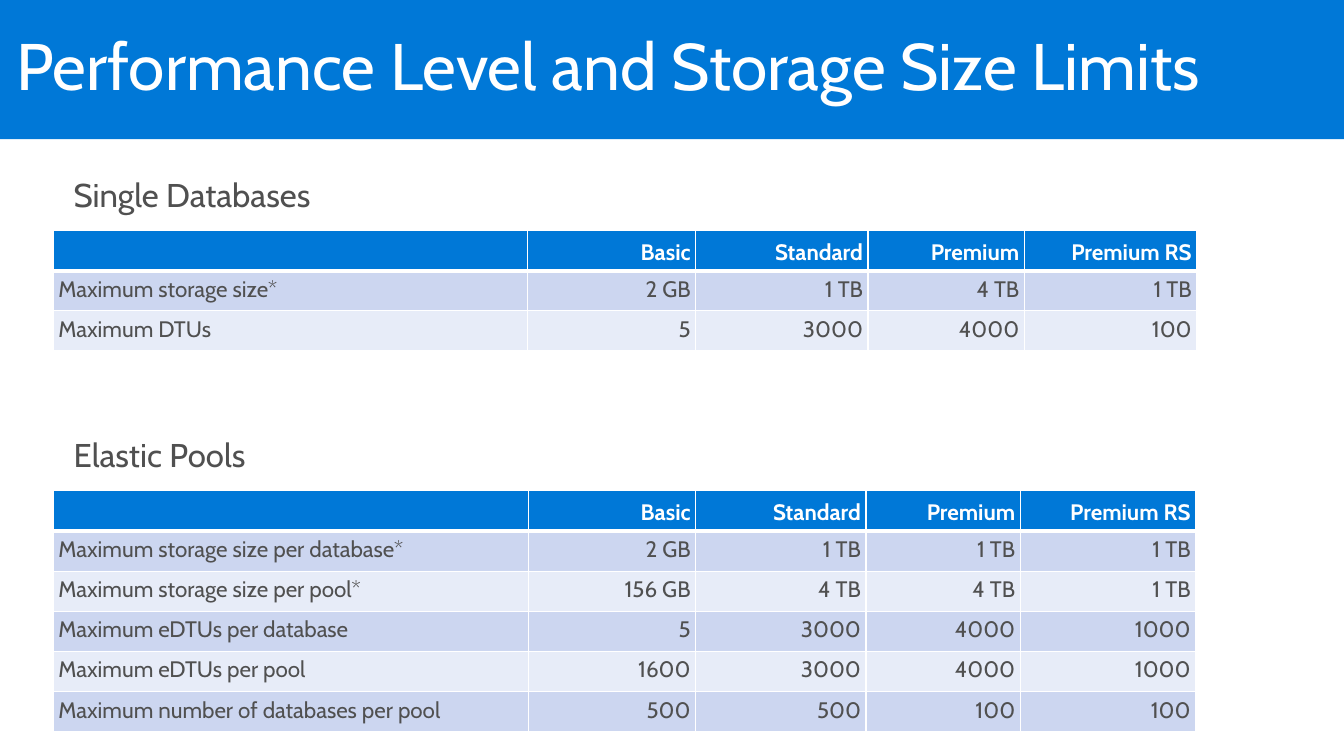
import pptx
import pptx.util
import pptx.dml.color
import pptx.enum.shapes
import pptx.enum.text
import pptx.oxml.ns
import lxml.etree

Inches = pptx.util.Inches
Pt = pptx.util.Pt
Color = pptx.dml.color.RGBColor
Align = pptx.enum.text.PP_ALIGN
Anchor = pptx.enum.text.MSO_ANCHOR
qn = pptx.oxml.ns.qn

BLUE = Color(0x00, 0x78, 0xD7)
WHITE = Color(0xFF, 0xFF, 0xFF)
GRAY = Color(0x50, 0x50, 0x50)
BANDS = (Color(0xE7, 0xEC, 0xF8), Color(0xCC, 0xD6, 0xF0))
FONT = "Cabin"

HEADS = ("", "Basic", "Standard", "Premium", "Premium RS")
SINGLE = (
    HEADS,
    ("Maximum storage size*", "2 GB", "1 TB", "4 TB", "1 TB"),
    ("Maximum DTUs", "5", "3000", "4000", "100"),
)
POOLS = (
    HEADS,
    ("Maximum storage size per database*", "2 GB", "1 TB", "1 TB", "1 TB"),
    ("Maximum storage size per pool*", "156 GB", "4 TB", "4 TB", "1 TB"),
    ("Maximum eDTUs per database", "5", "3000", "4000", "1000"),
    ("Maximum eDTUs per pool", "1600", "3000", "4000", "1000"),
    ("Maximum number of databases per pool", "500", "500", "100", "100"),
)


def style(para, size, color, bold=False):
    for run in para.runs:
        run.font.name = FONT
        run.font.size = Pt(size)
        run.font.bold = bold
        run.font.color.rgb = color


def inset(frame, side, edge):
    frame.margin_left = frame.margin_right = Inches(side)
    frame.margin_top = frame.margin_bottom = Inches(edge)


def add_title(slide, left, top, width, height, text):
    bar = slide.shapes.add_shape(
        pptx.enum.shapes.MSO_SHAPE.RECTANGLE,
        Inches(left), Inches(top), Inches(width), Inches(height))
    bar.shadow.inherit = False
    bar.fill.solid()
    bar.fill.fore_color.rgb = BLUE
    bar.line.fill.background()
    frame = bar.text_frame
    frame.word_wrap = True
    frame.vertical_anchor = Anchor.MIDDLE
    inset(frame, 0.16, 0.1)
    frame.text = text
    para = frame.paragraphs[0]
    para.alignment = Align.LEFT
    para.line_spacing = 0.9
    style(para, 47, WHITE)


def add_label(slide, left, top, width, height, text):
    box = slide.shapes.add_textbox(
        Inches(left), Inches(top), Inches(width), Inches(height))
    frame = box.text_frame
    frame.word_wrap = True
    inset(frame, 0.2, 0.16)
    frame.text = text
    para = frame.paragraphs[0]
    para.line_spacing = 0.9
    para.space_after = Pt(5.9)
    style(para, 23.5, GRAY)


def add_edges(cell, row):
    props = cell._tc.get_or_add_tcPr()
    for side in "LRTB":
        thick = (row, side) in ((0, "B"), (1, "T"))
        line = lxml.etree.SubElement(
            props, qn("a:ln" + side), w=str(Pt(3 if thick else 1)))
        fill = lxml.etree.SubElement(line, qn("a:solidFill"))
        lxml.etree.SubElement(fill, qn("a:srgbClr"), val=str(WHITE))


def fill_cell(cell, row, col, text):
    head = row == 0
    add_edges(cell, row)
    cell.fill.solid()
    cell.fill.fore_color.rgb = BLUE if head else BANDS[row % 2]
    cell.vertical_anchor = Anchor.BOTTOM if head else Anchor.TOP
    inset(cell, 0.05, 0.05)
    cell.text_frame.text = text
    para = cell.text_frame.paragraphs[0]
    para.alignment = Align.RIGHT if col else Align.LEFT
    style(para, 16, WHITE if head else GRAY, head)
    if not text:
        lxml.etree.SubElement(para._p, qn("a:endParaRPr"), sz="1600")


def add_grid(slide, left, top, width, height, rows, widths):
    table = slide.shapes.add_table(
        len(rows), len(widths), Inches(left), Inches(top),
        Inches(width), Inches(height)).table
    for col, size in zip(table.columns, widths):
        col.width = Inches(size)
    for r, texts in enumerate(rows):
        for c, text in enumerate(texts):
            fill_cell(table.cell(r, c), r, c, text)


def add_block(slide, left, top, width, height, title, rows, widths):
    label = 0.67
    add_label(slide, left, top, 4.87, label, title)
    add_grid(slide, left, top + label, width, height - label, rows, widths)


def main():
    deck = pptx.Presentation()
    deck.slide_width = Inches(13.33)
    deck.slide_height = Inches(7.5)
    slide = deck.slides.add_slide(deck.slide_layouts[6])
    add_title(slide, 0, 0, 13.33, 1.38,
              "Performance Level and Storage Size Limits")
    add_block(slide, 0.53, 1.62, 11.34, 1.86, "Single Databases",
              SINGLE, (4.7, 1.67, 1.71, 1.55, 1.71))
    add_block(slide, 0.53, 4.2, 11.34, 3.06, "Elastic Pools",
              POOLS, (4.71, 1.66, 1.69, 1.53, 1.74))
    deck.save("out.pptx")


if __name__ == "__main__":
    main()
